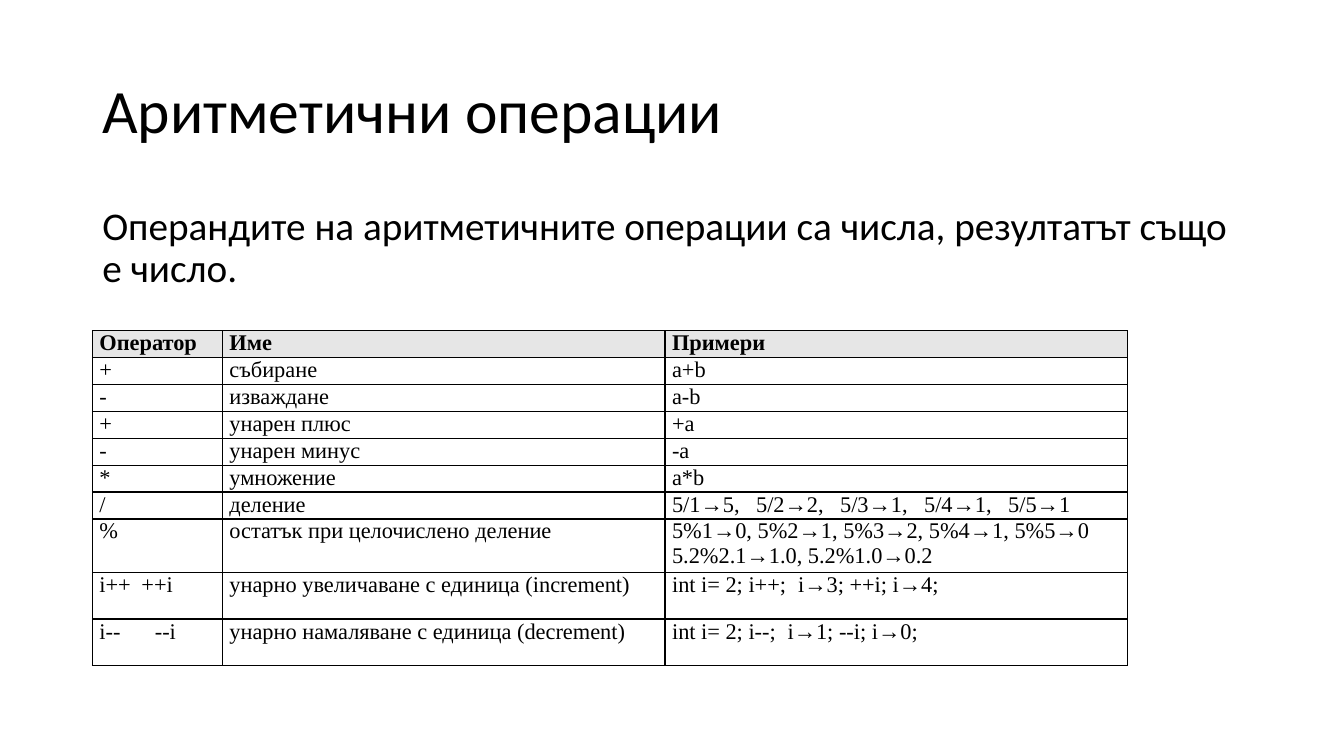
from lxml import etree
from pptx import Presentation
from pptx.dml.color import RGBColor
from pptx.enum.text import MSO_ANCHOR, PP_ALIGN
from pptx.oxml.ns import qn
from pptx.util import Inches, Pt

TOP, MIDDLE = MSO_ANCHOR.TOP, MSO_ANCHOR.MIDDLE
LEFT, JUSTIFY = PP_ALIGN.LEFT, PP_ALIGN.JUSTIFY

THEME = {
    "ink": RGBColor.from_string("000000"),
    "head": RGBColor.from_string("E6E6E6"),
    "sans": "Calibri",
    "serif": "Times New Roman",
    "title": Pt(44),
    "body": Pt(28),
    "cell": Pt(16),
    "rule": Pt(1),
}

deck = Presentation()
deck.slide_width, deck.slide_height = Inches(13.33), Inches(7.5)
UNIT = deck.slide_height / 90
slide = deck.slides.add_slide(deck.slide_layouts[6])


def span(count):
    return round(count * UNIT)


def write(frame, text, font, para):
    frame.text = text
    for line in frame.paragraphs:
        for key, value in para.items():
            setattr(line, key, value)
        for key, value in font.items():
            setattr(line.runs[0].font, key, value)
        line.runs[0].font.color.rgb = THEME["ink"]


boxes = [
    ("Аритметични операции", 4.8, 17.4, "title", MIDDLE, 0),
    ("Операндите на аритметичните операции са числа, резултатът също е число.",
     24, 57.1, "body", TOP, 10),
]
for text, top, high, size, anchor, gap in boxes:
    frame = slide.shapes.add_textbox(span(11), span(top), span(138), span(high)).text_frame
    frame.word_wrap = True
    frame.vertical_anchor = anchor
    write(frame, text, {"name": THEME["sans"], "size": THEME[size]},
          {"alignment": LEFT, "line_spacing": 0.9, "space_before": Pt(gap)})

rows = [
    ("Оператор", "Име", "Примери"),
    ("+", "събиране", "a+b"),
    ("-", "изваждане", "a-b"),
    ("+", "унарен плюс", "+a"),
    ("-", "унарен минус", "-a"),
    ("*", "умножение", "a*b"),
    ("/", "деление", "5/1→5,\t5/2→2,\t5/3→1,\t5/4→1,\t5/5→1"),
    ("%", "остатък при целочислено деление",
     "5%1→0, 5%2→1, 5%3→2, 5%4→1, 5%5→0\n5.2%2.1→1.0, 5.2%1.0→0.2"),
    ("i++\t++i", "унарно увеличаване с единица (increment)",
     "int i= 2; i++;\ti→3; ++i; i→4;"),
    ("i--\t--i", "унарно намаляване с единица (decrement)",
     "int i= 2; i--;\ti→1; --i; i→0;"),
]
stops = {(6, 2): 10, (8, 0): 5, (8, 2): 15, (9, 0): 6.6, (9, 2): 13.75}
wides = [15.48, 52.68, 55.08]
highs = [2.76] * 7 + [5.52] * 3
inset = {"margin_left": span(0.84), "margin_right": span(0.84),
         "margin_top": 0, "margin_bottom": 0, "vertical_anchor": TOP}

grid = slide.shapes.add_table(len(rows), len(wides), span(11), span(39.36),
                              span(sum(wides)), span(sum(highs))).table
for col, wide in zip(grid.columns, wides):
    col.width = span(wide)
for row, high in zip(grid.rows, highs):
    row.height = span(high)

for r, row in enumerate(rows):
    for c, text in enumerate(row):
        cell = grid.cell(r, c)
        for key, value in inset.items():
            setattr(cell, key, value)
        write(cell.text_frame, text,
              {"name": THEME["serif"], "size": THEME["cell"], "bold": r == 0},
              {"alignment": LEFT if "\t" in text else JUSTIFY})
        if "\t" in text:
            prop = cell.text_frame.paragraphs[0]._p.get_or_add_pPr()
            tabs = etree.SubElement(prop, qn("a:tabLst"))
            for n in range(1, text.count("\t") + 1):
                etree.SubElement(tabs, qn("a:tab"), pos=str(span(n * stops[r, c])), algn="l")
        prop = cell._tc.get_or_add_tcPr()
        for side in ("a:lnL", "a:lnR", "a:lnT", "a:lnB"):
            line = etree.SubElement(prop, qn(side), w=str(THEME["rule"]))
            fill = etree.SubElement(line, qn("a:solidFill"))
            etree.SubElement(fill, qn("a:srgbClr"), val=str(THEME["ink"]))
        if r == 0:
            cell.fill.solid()
            cell.fill.fore_color.rgb = THEME["head"]
        else:
            cell.fill.background()

deck.save("out.pptx")
